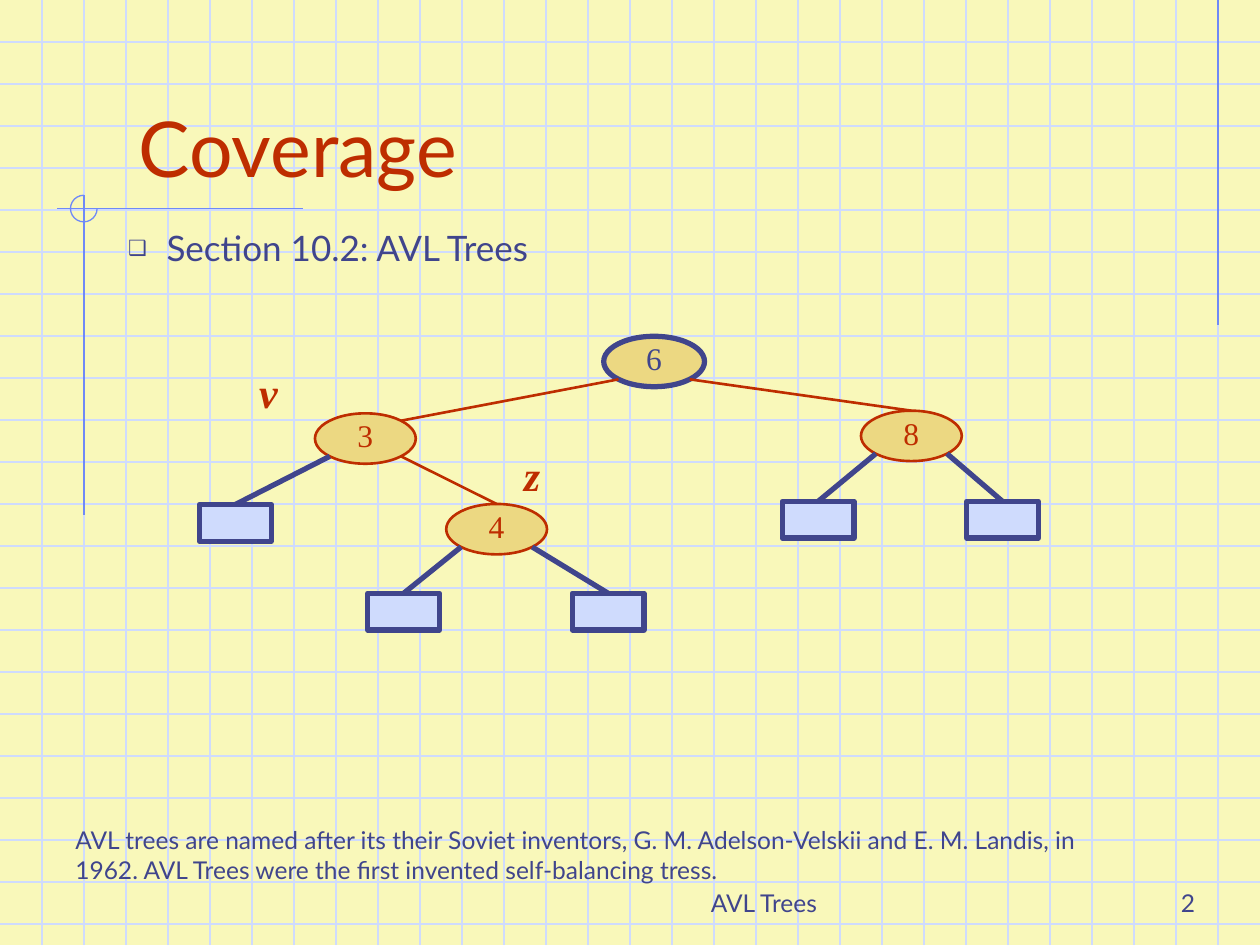
from lxml.etree import SubElement
from pptx import Presentation
from pptx.dml.color import RGBColor
from pptx.enum.shapes import MSO_CONNECTOR, MSO_SHAPE
from pptx.enum.text import MSO_ANCHOR, MSO_AUTO_SIZE, PP_ALIGN
from pptx.oxml.ns import qn
from pptx.util import Pt

# Content
TITLE = "Coverage"
TOPIC = "Section 10.2: AVL Trees"
NOTE = ("AVL trees are named after its their Soviet inventors, "
        "G. M. Adelson-Velskii and E. M. Landis, in 1962. "
        "AVL Trees were the first invented self-balancing tress.")
FOOT, PAGE = "AVL Trees", "2"

BLUE, RED, GOLD = "40458C", "BE2D00", "ECD882"
PALE, RULE, PAPER = "CFDBFD", "6F89F7", "F9F8BA"
SANS, SERIF = "Lato", "Times New Roman"

# Tree: key -> left, top, colour, line width
NODES = {
    "6": (345, 192.2, BLUE, 3),
    "3": (180, 236.2, RED, 1.5),
    "8": (492, 234.7, RED, 1.5),
    "4": (255, 288, RED, 1.5),
}
# Leaf -> left, top
LEAVES = {
    "3L": (114, 288.3),
    "8L": (447, 286.5),
    "8R": (552.4, 286.5),
    "4L": (210.2, 339),
    "4R": (327, 339),
}
# Parent, side (-1 left, 1 right), child
EDGES = [
    ("6", -1, "3"), ("6", 1, "8"),
    ("3", -1, "3L"), ("3", 1, "4"),
    ("8", -1, "8L"), ("8", 1, "8R"),
    ("4", -1, "4L"), ("4", 1, "4R"),
]
MARKS = [("v", 141, 206), ("z", 292.3, 253.4)]

WIDE, HIGH, STEP = 720, 540, 24
NODE_W, NODE_H = 57.6, 28.8
LEAF_W, LEAF_H = 41, 21

deck = Presentation()
deck.slide_width, deck.slide_height = Pt(WIDE), Pt(HIGH)
slide = deck.slides.add_slide(deck.slide_layouts[1])
shapes = slide.shapes


def rgb(code):
    return RGBColor.from_string(code)


def line(x1, y1, x2, y2, hue, size=0.75):
    bar = shapes.add_connector(MSO_CONNECTOR.STRAIGHT,
                               Pt(x1), Pt(y1), Pt(x2), Pt(y2))
    bar.line.color.rgb, bar.line.width = rgb(hue), Pt(size)
    SubElement(bar._element.spPr, qn("a:effectLst"))
    return bar


def form(kind, x, y, w, h, fill, hue, size):
    item = shapes.add_shape(kind, Pt(x), Pt(y), Pt(w), Pt(h))
    item.shadow.inherit = False
    if fill:
        item.fill.solid()
        item.fill.fore_color.rgb = rgb(fill)
    else:
        item.fill.background()
    item.line.color.rgb, item.line.width = rgb(hue), Pt(size)
    return item


def write(item, text, size, hue, face=SANS, side=PP_ALIGN.LEFT,
          anchor=MSO_ANCHOR.TOP, wrap=True):
    frame = item.text_frame
    frame.text, frame.word_wrap = text, wrap
    frame.auto_size, frame.vertical_anchor = MSO_AUTO_SIZE.NONE, anchor
    para = frame.paragraphs[0]
    para.alignment, para.space_before = side, Pt(0)
    font = para.font
    font.name, font.size, font.color.rgb = face, Pt(size), rgb(hue)
    return para


def place(item, x, y, w, h):
    item.left, item.top, item.width, item.height = Pt(x), Pt(y), Pt(w), Pt(h)
    shapes._spTree.append(item._element)  # bring above the grid


def box(x, y, w, h, *args, **kinds):
    return write(shapes.add_textbox(Pt(x), Pt(y), Pt(w), Pt(h)), *args, **kinds)


# Paper and grid
slide.background.fill.solid()
slide.background.fill.fore_color.rgb = rgb(PAPER)
for y in range(STEP, HIGH, STEP):
    line(0, y, WIDE, y, PALE)
for x in range(STEP, WIDE, STEP):
    line(x, 0, x, HIGH, PALE)

# Ruled margins with a three-quarter circle
line(696, 0, 696, 186, RULE)
line(173, 119.3, 32.6, 119.3, RULE)
line(48, 111.6, 48, 294.5, RULE)
arc = form(MSO_SHAPE.ARC, 40.3, 111.6, 15.2, 15.2, None, RULE, 0.75)
arc.adjustments[0], arc.adjustments[1] = 0, 162  # 0 to 270 degrees

# Title and topic
head, body = shapes.title, slide.placeholders[1]
place(head, 72, 24, 612, 90)
write(head, TITLE, 44, RED, anchor=MSO_ANCHOR.BOTTOM)
place(body, 66, 126, 510, 60)
body.text_frame.text = TOPIC
props = body.text_frame.paragraphs[0]._p.get_or_add_pPr()
para = write(body, TOPIC, 20, BLUE)
props = para._p.get_or_add_pPr()
props.set("marL", str(Pt(22)))
props.set("indent", str(-Pt(22)))
SubElement(SubElement(props, qn("a:buClr")), qn("a:srgbClr")).set("val", BLUE)
SubElement(props, qn("a:buSzPct")).set("val", "60000")
SubElement(props, qn("a:buChar")).set("char", "❑")
# keep run defaults after the bullet elements
props.append(props.find(qn("a:defRPr")))

# Tree nodes and leaves
parts = {}
for key, (x, y, hue, size) in NODES.items():
    oval = form(MSO_SHAPE.OVAL, x, y, NODE_W, NODE_H, GOLD, hue, size)
    write(oval, key, 18, hue, SERIF, PP_ALIGN.CENTER, MSO_ANCHOR.MIDDLE, False)
    frame = oval.text_frame
    frame.margin_left = frame.margin_right = frame.margin_top = 0
    parts[key] = oval
for key, (x, y) in LEAVES.items():
    parts[key] = form(MSO_SHAPE.RECTANGLE, x, y, LEAF_W, LEAF_H, PALE, BLUE, 3)

# Edges leave a node at 45 degrees
DX, DY = NODE_W / 8 ** 0.5, NODE_H / 8 ** 0.5


def rim(key, side, drop):
    x, y = NODES[key][:2]
    return x + NODE_W / 2 + side * DX, y + NODE_H / 2 + drop * DY


for top, side, low in EDGES:
    start = rim(top, side, 1)
    hue, size = (BLUE, 3) if low in LEAVES else (RED, 1.5)
    if low == "3":
        line(*start, *rim(low, 1, -1), hue, size)
    else:
        line(*start, *start, hue, size).end_connect(parts[low], 0)

# Node marks
for text, x, y in MARKS:
    font = box(x, y, 56, 36, text, 24, RED, SERIF).font
    font.bold = font.italic = True

# Note and footer
box(36, 468, 612, 41, NOTE, 14, BLUE)
for text, x, w in [(FOOT, 246, 228), (PAGE, 540, 150)]:
    box(x, 492, w, 36, text, 14, BLUE,
        side=PP_ALIGN.RIGHT, anchor=MSO_ANCHOR.BOTTOM)

deck.save("out.pptx")
